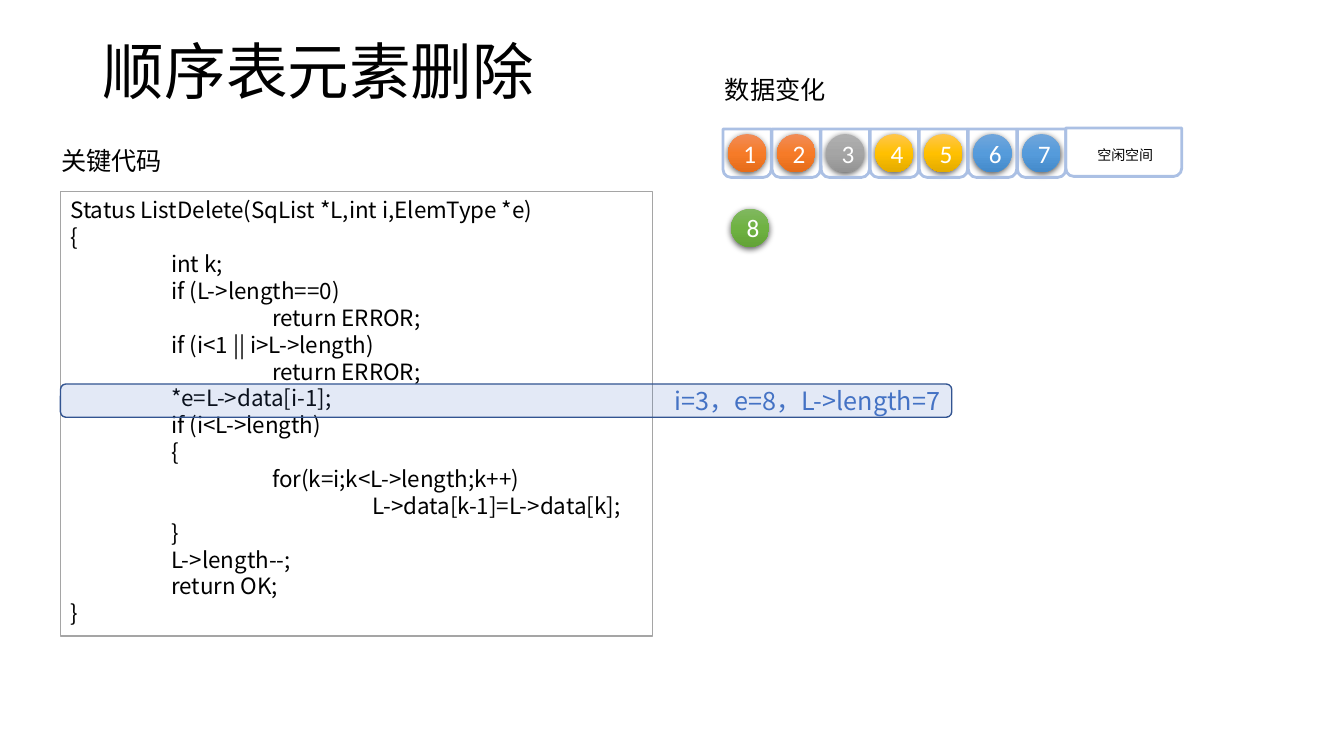
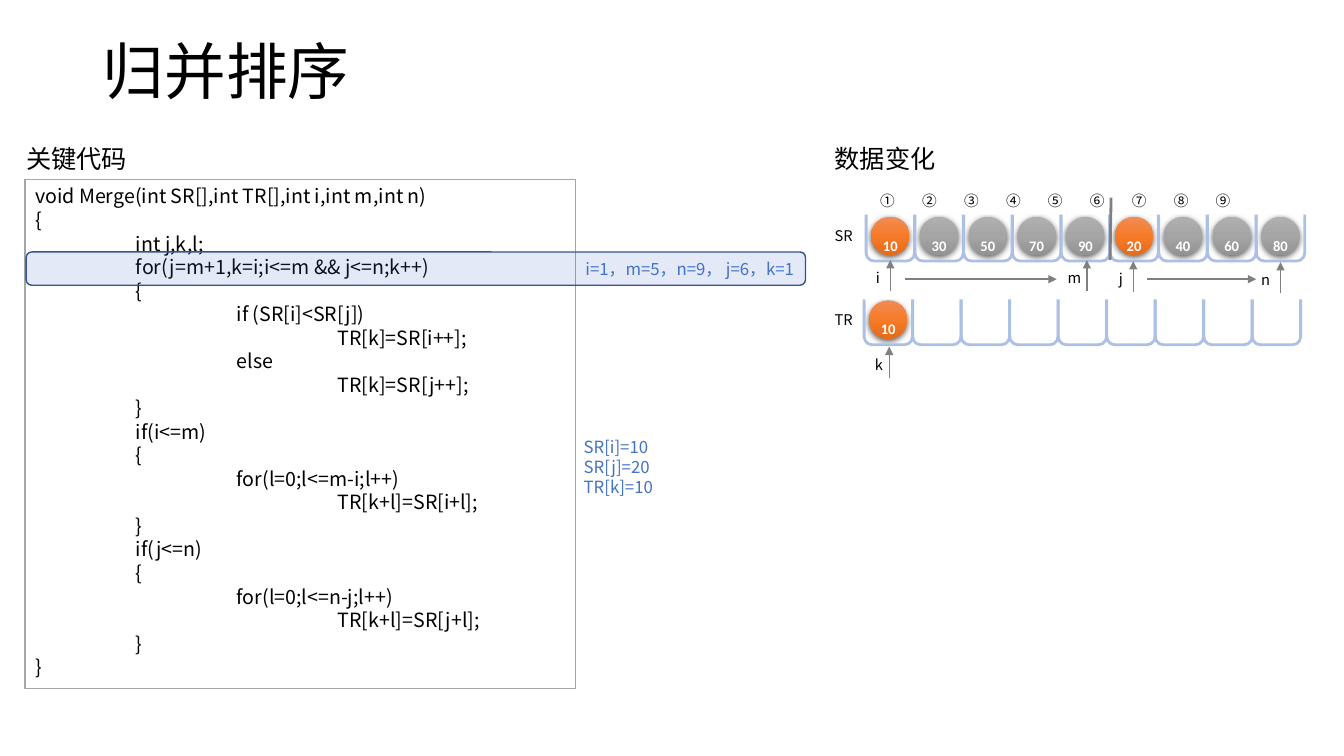
from lxml import etree
from pptx import Presentation
from pptx.dml.color import RGBColor
from pptx.enum.shapes import MSO_CONNECTOR, MSO_SHAPE
from pptx.enum.text import MSO_ANCHOR, PP_ALIGN
from pptx.oxml import parse_xml
from pptx.oxml.ns import nsdecls, qn
from pptx.util import Inches, Pt

RECT, ROUNDED = MSO_SHAPE.RECTANGLE, MSO_SHAPE.ROUNDED_RECTANGLE
OVAL, CUP = MSO_SHAPE.OVAL, MSO_SHAPE.ROUND_2_SAME_RECTANGLE
STRAIGHT = MSO_CONNECTOR.STRAIGHT
LEFT, CENTER, RIGHT = PP_ALIGN.LEFT, PP_ALIGN.CENTER, PP_ALIGN.RIGHT
TOP, MIDDLE = MSO_ANCHOR.TOP, MSO_ANCHOR.MIDDLE

CJK, LATIN = "Noto Sans CJK SC", "Calibri"
COLORS = {
    "ink": "000000", "white": "FFFFFF", "frame": "A5A5A5", "accent": "4472C4",
    "accent_edge": "325491", "cell": "ABC0E4", "arrow": "808080",
}
BALLS = {
    "orange": ("F18C57", "F67B28", "E56C19"),
    "gray": ("AFAFAF", "A5A5A5", "939393"),
    "gold": ("FFC64B", "FFC000", "E3AB00"),
    "blue": ("71A6DB", "559BDB", "448ACA"),
    "green": ("81B861", "6FB242", "62A336"),
}
CELL, BALL = 0.48, 0.38

DELETE_CODE = [
    "Status ListDelete(SqList *L,int i,ElemType *e)",
    "{",
    "\tint k;",
    "\tif (L->length==0)",
    "\t\treturn ERROR;",
    "\tif (i<1 || i>L->length)",
    "\t\treturn ERROR;",
    "\t*e=L->data[i-1];",
    "\tif (i<L->length)",
    "\t{",
    "\t\tfor(k=i;k<L->length;k++)",
    "\t\t\tL->data[k-1]=L->data[k];",
    "\t}",
    "\tL->length--;",
    "\treturn OK;",
    "}",
]
LIST_ITEMS = [("1", "orange"), ("2", "orange"), ("3", "gray"), ("4", "gold"),
              ("5", "gold"), ("6", "blue"), ("7", "blue")]
REMOVED_ITEM = ("8", "green")

MERGE_CODE = [
    "void Merge(int SR[],int TR[],int i,int m,int n)",
    "{",
    "\tint j,k,l;",
    "\tfor(j=m+1,k=i;i<=m && j<=n;k++)",
    "\t{",
    "\t\tif (SR[i]<SR[j])",
    "\t\t\tTR[k]=SR[i++];",
    "\t\telse",
    "\t\t\tTR[k]=SR[j++];",
    "\t}",
    "\tif(i<=m)",
    "\t{",
    "\t\tfor(l=0;l<=m-i;l++)",
    "\t\t\tTR[k+l]=SR[i+l];",
    "\t}",
    "\tif(j<=n)",
    "\t{",
    "\t\tfor(l=0;l<=n-j;l++)",
    "\t\t\tTR[k+l]=SR[j+l];",
    "\t}",
    "}",
]
MERGE_VALUES = ["SR[i]=10", "SR[j]=20", "TR[k]=10"]
SOURCE_ITEMS = [("10", "orange"), ("30", "gray"), ("50", "gray"), ("70", "gray"),
                ("90", "gray"), ("20", "orange"), ("40", "gray"), ("60", "gray"),
                ("80", "gray")]
TARGET_ITEMS = [("10", "orange")]
POSITIONS = "①②③④⑤⑥⑦⑧⑨"
POINTERS = [("i", 8.83, 2.58, 0.24), ("m", 10.78, 2.58, 0.29), ("j", 11.24, 2.59, 0.24),
            ("n", 12.7, 2.6, 0.29), ("k", 8.82, 3.44, 0.24)]
SCANS = [(8.98, 10.48), (11.38, 12.46)]

deck = Presentation()
deck.slide_width, deck.slide_height = Inches(13.33), Inches(7.5)


def rgb(name):
    return RGBColor.from_string(COLORS[name])


def box(at):
    return [Inches(length) for length in at]


def write(part, lines, size, color="ink", font=CJK, align=LEFT, anchor=TOP,
          wrap=True, bold=False, spacing=None):
    frame = part.text_frame
    frame.word_wrap, frame.vertical_anchor = wrap, anchor
    for n, line in enumerate(lines):
        paragraph = frame.add_paragraph() if n else frame.paragraphs[0]
        paragraph.alignment = align
        if font == CJK:
            paragraph.line_spacing = spacing or Pt(size * 1.2)
        run = paragraph.add_run()
        run.text = line
        run.font.size, run.font.name, run.font.bold = Pt(size), font, bold
        run.font.color.rgb = rgb(color)
        etree.SubElement(run._r.get_or_add_rPr(), qn("a:ea"), typeface=font)
    return frame


def set_tabs(frame, step, count):
    for paragraph in frame.paragraphs:
        stops = etree.SubElement(paragraph._p.get_or_add_pPr(), qn("a:tabLst"))
        for n in range(1, count + 1):
            etree.SubElement(stops, qn("a:tab"), pos=str(Inches(n * step)), algn="l")


def add_text(slide, at, lines, size, **style):
    return write(slide.shapes.add_textbox(*box(at)), lines, size, **style)


def add_part(slide, preset, at, fill=None, edge=None, width=1):
    part = slide.shapes.add_shape(preset, *box(at))
    part.shadow.inherit = False
    if fill:
        part.fill.solid()
        part.fill.fore_color.rgb = rgb(fill)
    else:
        part.fill.background()
    if edge:
        part.line.color.rgb, part.line.width = rgb(edge), Pt(width)
    else:
        part.line.fill.background()
    return part


def add_ball(slide, left, top, tone):
    ball = add_part(slide, OVAL, (left, top, BALL, BALL))
    stops = "".join(
        f'<a:gs pos="{n * 50000}"><a:srgbClr val="{value}"/></a:gs>'
        for n, value in enumerate(BALLS[tone]))
    props = ball._element.spPr
    props.replace(props.find(qn("a:noFill")), parse_xml(
        f'<a:gradFill {nsdecls("a")} rotWithShape="1"><a:gsLst>{stops}</a:gsLst>'
        '<a:lin ang="5400000" scaled="0"/></a:gradFill>'))
    props.find(qn("a:effectLst")).append(parse_xml(
        f'<a:outerShdw {nsdecls("a")} blurRad="57150" dist="19050" dir="5400000" '
        'algn="ctr" rotWithShape="0"><a:srgbClr val="000000">'
        '<a:alpha val="63000"/></a:srgbClr></a:outerShdw>'))
    return ball


def add_numbered_ball(slide, left, top, item):
    number, tone = item
    write(add_ball(slide, left, top, tone), [number], 18, color="white", font=LATIN,
          align=CENTER, anchor=MIDDLE)


def add_cell(slide, left, top, width=CELL):
    add_part(slide, CUP, (left, top, width, CELL), edge="cell", width=2).rotation = 180


def add_line(slide, start, end, width=1, arrow=True):
    line = slide.shapes.add_connector(STRAIGHT, *box(start + end))
    line.line.color.rgb, line.line.width = rgb("arrow"), Pt(width)
    props = line._element.spPr
    if arrow:
        etree.SubElement(props.find(qn("a:ln")), qn("a:tailEnd"), type="triangle")
    etree.SubElement(props, qn("a:effectLst"))


def start_slide(title, code, code_at, code_size, step_at, step, step_size,
                code_head_at, data_head_at):
    slide = deck.slides.add_slide(deck.slide_layouts[5])
    heading = slide.shapes.title
    heading.left, heading.top, heading.width, heading.height = box((0.92, 0.01, 11.5, 1.45))
    write(heading, [title], 44, anchor=MIDDLE, spacing=0.9)
    listing = write(add_part(slide, RECT, code_at, "white", "frame"), code, code_size)
    set_tabs(listing, 1, 3)
    band = add_part(slide, ROUNDED, step_at, "accent", "accent_edge")
    tint = band._element.spPr.find(qn("a:solidFill"))[0]
    etree.SubElement(tint, qn("a:alpha"), val="15000")
    write(band, [step], step_size, color="accent", align=RIGHT, anchor=MIDDLE)
    heads = (("关键代码", code_head_at, 1.25), ("数据变化", data_head_at, 1.21))
    for label, corner, width in heads:
        add_text(slide, corner + (width, 0.4), [label], 18, wrap=False)
    return slide


def build_delete():
    slide = start_slide(
        "顺序表元素删除", DELETE_CODE, (0.6, 1.9, 5.87, 4.41), 16,
        (0.6, 3.81, 8.84, 0.33), "i=3，e=8，L->length=7", 18,
        (0.51, 1.39), (7.09, 0.69))
    first, last, top = 7.17, 10.09, 1.28
    pitch = (last - first) / (len(LIST_ITEMS) - 1)
    for n, item in enumerate(LIST_ITEMS):
        left = first + n * pitch
        add_numbered_ball(slide, left + 0.05, top + 0.05, item)
        add_cell(slide, left, top)
    add_cell(slide, last + CELL, 1.27, 1.15)
    add_text(slide, (10.6, 1.4, 1.12, 0.27), ["空闲空间"], 10, align=CENTER)
    add_numbered_ball(slide, 7.25, 2.07, REMOVED_ITEM)


def build_merge():
    slide = start_slide(
        "归并排序", MERGE_CODE, (0.25, 1.78, 5.46, 5.05), 14,
        (0.26, 2.5, 7.73, 0.33), "i=1，m=5，n=9， j=6，k=1", 12,
        (0.16, 1.37), (8.18, 1.37))
    rows = [("SR", SOURCE_ITEMS, 8.59, 12.46, 2.11), ("TR", TARGET_ITEMS, 8.57, 12.42, 2.94)]
    for name, items, first, last, top in rows:
        write(add_part(slide, RECT, (8.18, top + 0.09, 0.39, 0.28), "white"), [name], 10.5)
        pitch = (last - first) / (len(SOURCE_ITEMS) - 1)
        for n in range(len(SOURCE_ITEMS)):
            left = first + n * pitch
            if n < len(items):
                number, tone = items[n]
                add_ball(slide, left + 0.05, top + 0.04, tone)
                label = add_text(slide, (left + 0.05, top + 0.02, BALL, 0.3), [number], 18,
                                 color="white", font=LATIN, align=CENTER, wrap=False,
                                 bold=True)
                label.paragraphs[0].runs[0]._r.get_or_add_rPr().set("baseline", "-25000")
            add_cell(slide, left, top)

    ruler = write(add_part(slide, RECT, (8.57, 1.85, 4.69, 0.28), "white"),
                  ["\t".join(POSITIONS)], 10.5)
    ruler.margin_left = Inches(0.16)
    set_tabs(ruler, 0.416, len(POSITIONS) - 1)
    add_part(slide, RECT, (8.49, 2.79, 4.7, 0.18), "white")

    add_line(slide, (11.02, 1.96), (11.01, 2.58), width=2, arrow=False)
    for name, x, tip, gap in POINTERS:
        add_line(slide, (x, tip + 0.31), (x, tip))
        add_text(slide, (x - gap, tip + 0.04, 0.27, 0.28), [name], 10.5)
    for start, end in SCANS:
        add_line(slide, (start, 2.77), (end, 2.77))
    add_text(slide, (5.69, 4.28, 0.98, 0.71), MERGE_VALUES, 12, color="accent")


build_delete()
build_merge()
deck.save("out.pptx")
